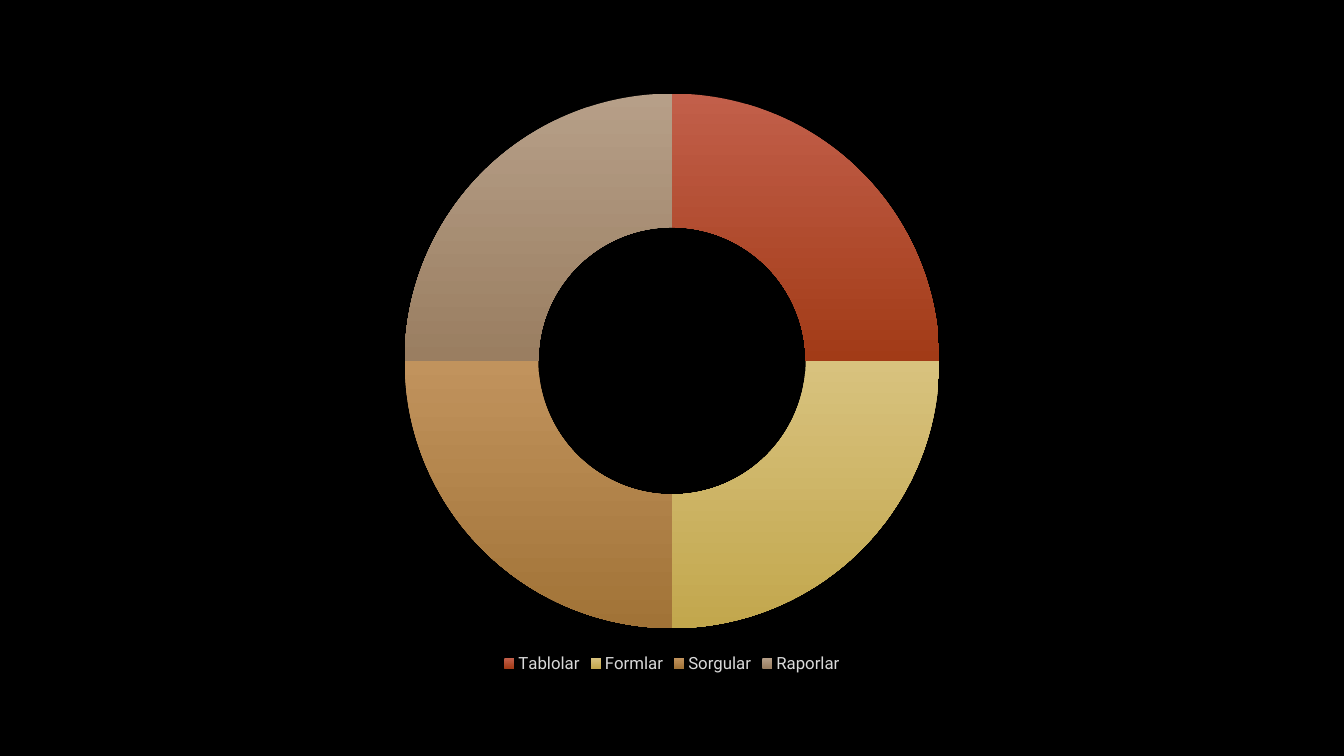
from pptx import Presentation
from pptx.chart.data import CategoryChartData
from pptx.dml.color import RGBColor
from pptx.enum.chart import XL_CHART_TYPE, XL_LEGEND_POSITION
from pptx.util import Inches, Pt

RING = XL_CHART_TYPE.DOUGHNUT
BOTTOM = XL_LEGEND_POSITION.BOTTOM
FONT = "Roboto"
HOLE = 75

COLORS = {
    "back": "000000",
    "text": "FFFFFF",
    "legend": "DADADA",
    "Tablolar": ("C25F4A", "A23B17"),
    "Formlar": ("D8C27E", "C2A74D"),
    "Sorgular": ("C1935D", "A17337"),
    "Raporlar": ("B69F88", "9A7E61"),
}
PARTS = {"Tablolar": 25, "Formlar": 25, "Sorgular": 25, "Raporlar": 25}


def rgb(code):
    return RGBColor.from_string(code)


def set_font(font, size, color):
    font.name = FONT
    font.size = Pt(size)
    font.color.rgb = rgb(COLORS[color])


def shade(point, pair):
    """Fill a slice from top to bottom with a pair of colours."""
    fill = point.format.fill
    fill.gradient()
    fill.gradient_angle = 270
    for stop, code in zip(fill.gradient_stops, pair):
        stop.color.rgb = rgb(code)
    point.format.line.fill.background()


def add_ring(slide, left, top, width, height):
    data = CategoryChartData()
    data.categories = list(PARTS)
    data.add_series("Series 1", list(PARTS.values()))
    box = [Inches(n) for n in (left, top, width, height)]
    chart = slide.shapes.add_chart(RING, *box, data).chart
    chart.has_title = False
    set_font(chart.font, 10, "text")

    chart.has_legend = True
    chart.legend.position = BOTTOM
    chart.legend.include_in_layout = False
    set_font(chart.legend.font, 12, "legend")

    plot = chart.plots[0]
    plot.vary_by_categories = True
    for hole in chart.element.xpath(".//c:holeSize"):
        hole.set("val", str(HOLE))
    for i, name in enumerate(PARTS):
        shade(plot.series[0].points[i], COLORS[name])


def main():
    deck = Presentation()
    deck.slide_width = Inches(13.33)
    deck.slide_height = Inches(7.5)
    slide = deck.slides.add_slide(deck.slide_layouts[6])
    back = slide.background.fill
    back.solid()
    back.fore_color.rgb = rgb(COLORS["back"])
    add_ring(slide, 2.22, 0.79, 8.89, 5.93)
    deck.save("out.pptx")


if __name__ == "__main__":
    main()
